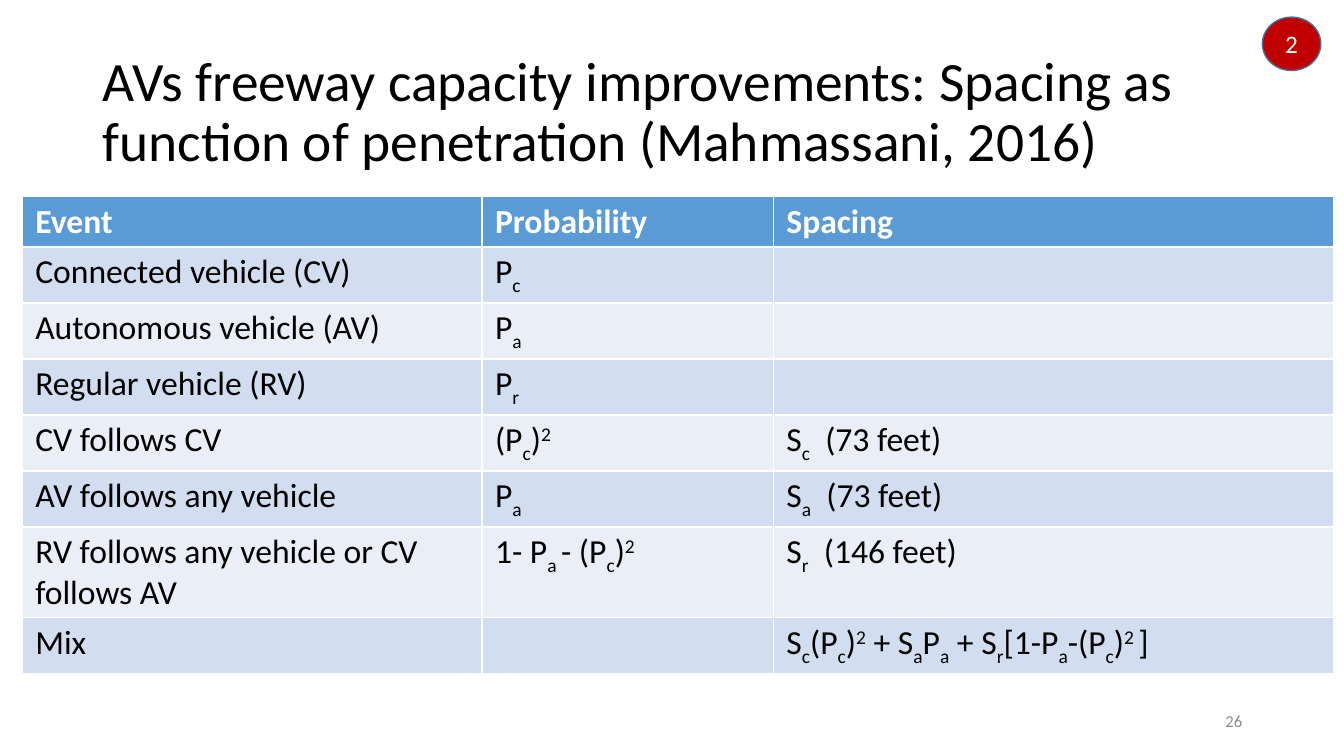
"""Build the slide on vehicle spacing as a function of penetration."""
from pptx import Presentation
from pptx.dml.color import RGBColor
from pptx.enum.shapes import MSO_SHAPE
from pptx.enum.text import MSO_ANCHOR, PP_ALIGN
from pptx.util import Inches, Pt

OVAL = MSO_SHAPE.OVAL
MIDDLE = MSO_ANCHOR.MIDDLE
LEFT, CENTER, RIGHT = PP_ALIGN.LEFT, PP_ALIGN.CENTER, PP_ALIGN.RIGHT

TITLE = ("AVs freeway capacity improvements: Spacing as "
         "function of penetration (Mahmassani, 2016)")
PAGE = "26"
BADGE = "2"
ROWS = [
    ("Event", "Probability", "Spacing"),
    ("Connected vehicle (CV)", "P|_c", ""),
    ("Autonomous vehicle (AV)", "P|_a", ""),
    ("Regular vehicle (RV)", "P|_r", ""),
    ("CV follows CV", "(P|_c|)|^2", "S|_c|  (73 feet)"),
    ("AV follows any vehicle", "P|_a", "S|_a|  (73 feet)"),
    ("RV follows any vehicle or CV follows AV",
     "1- P|_a |- (P|_c|)|^2", "S|_r|  (146 feet)"),
    ("Mix", "",
     "S|_c|(P|_c|)|^2| + S|_a|P|_a| + S|_r|[1-P|_a|-(P|_c|)|^2 |]"),
]
WIDTHS = (4.56, 2.89, 5.56)
ROW_H = 0.41
HEAD, BANDS = "5B9BD5", ("EAEFF7", "D2DEEF")
SHIFTS = {"_": "-25000", "^": "30000"}


def color(code):
    return RGBColor.from_string(code)


def write(para, text, size, code, align=LEFT, bold=False):
    """Fill a paragraph; parts led by _ or ^ are set low or high."""
    para.alignment = align
    font = para.font
    font.name, font.size, font.bold = "Calibri", Pt(size), bold
    font.color.rgb = color(code)
    for part in filter(None, text.split("|")):
        run = para.add_run()
        shift = SHIFTS.get(part[0])
        run.text = part[1:] if shift else part
        if shift:
            run._r.get_or_add_rPr().set("baseline", shift)


def add_text(slide, box, text, size, code, align=LEFT):
    frame = slide.shapes.add_textbox(*map(Inches, box)).text_frame
    frame.word_wrap = True
    frame.vertical_anchor = MIDDLE
    write(frame.paragraphs[0], text, size, code, align)
    return frame


def add_grid(slide):
    box = (0.22, 1.95, sum(WIDTHS), ROW_H * len(ROWS))
    table = slide.shapes.add_table(
        len(ROWS), len(WIDTHS), *map(Inches, box)).table
    for col, width in zip(table.columns, WIDTHS):
        col.width = Inches(width)
    for i, row in enumerate(ROWS):
        for j, text in enumerate(row):
            cell = table.cell(i, j)
            cell.margin_left = cell.margin_right = Inches(0.13)
            cell.fill.solid()
            cell.fill.fore_color.rgb = color(BANDS[i % 2] if i else HEAD)
            write(cell.text_frame.paragraphs[0], text, 24,
                  "000000" if i else "FFFFFF", bold=i == 0)


def add_badge(slide):
    badge = slide.shapes.add_shape(
        OVAL, *map(Inches, (12.52, 0.17, 0.58, 0.53)))
    badge.shadow.inherit = False
    badge.fill.solid()
    badge.fill.fore_color.rgb = color("C00000")
    badge.line.color.rgb = color("43739E")
    badge.line.width = Pt(1)
    badge.text_frame.vertical_anchor = MIDDLE
    write(badge.text_frame.paragraphs[0], BADGE, 18, "FFFFFF", CENTER)


def main():
    deck = Presentation()
    deck.slide_width, deck.slide_height = Inches(13.33), Inches(7.5)
    slide = deck.slides.add_slide(deck.slide_layouts[6])
    title = add_text(slide, (0.92, 0.4, 11.5, 1.45), TITLE, 39.6, "000000")
    title.paragraphs[0].line_spacing = 0.9
    add_grid(slide)
    add_text(slide, (9.42, 6.95, 3, 0.4), PAGE, 12, "8C8C8C", RIGHT)
    add_badge(slide)
    deck.save("out.pptx")


if __name__ == "__main__":
    main()
